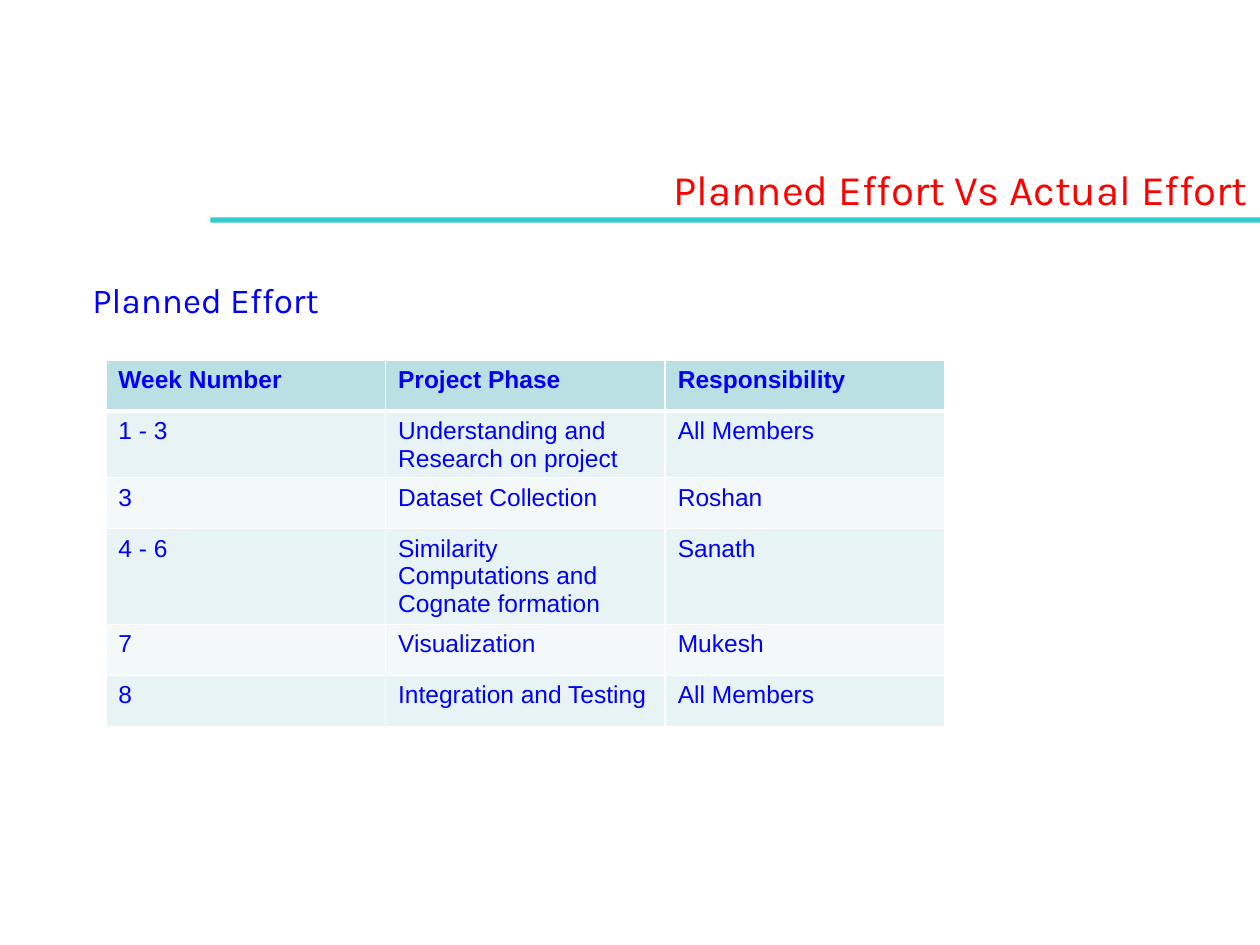
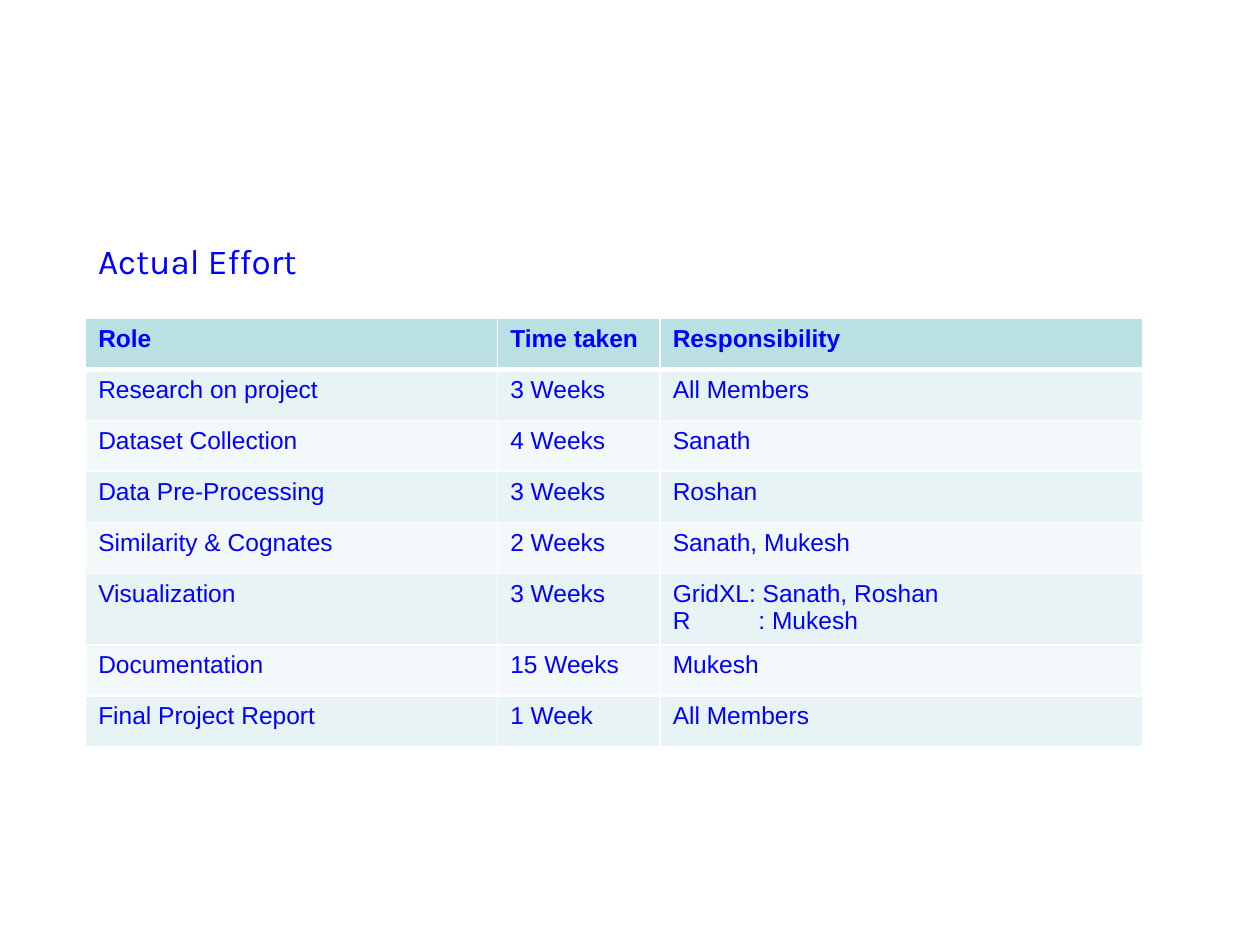
from dataclasses import dataclass

from lxml.etree import SubElement
from pptx import Presentation
from pptx.dml.color import RGBColor as Rgb
from pptx.enum.shapes import MSO_SHAPE as Preset
from pptx.enum.text import PP_ALIGN as Align
from pptx.oxml import parse_xml
from pptx.oxml.ns import nsdecls, qn
from pptx.util import Inches, Pt


@dataclass(frozen=True)
class Theme:
    width: int = Inches(10)
    height: int = Inches(7.5)
    title_font: str = "Karla"
    table_font: str = "Arial"
    title_size: int = 24
    heading_size: int = 20
    table_size: int = 14
    title: str = "FF0000"
    ink: str = "0000FF"
    rule: str = "33CCCC"
    corner: str = "FFFFFF"
    header: str = "BBE0E3"
    bands: tuple = ("E7F3F4", "F3F9FA")
    border: str = "FFFFFF"
    thin: int = 1
    thick: int = 3
    row: float = 0.054
    cell_bottom: int = Inches(0.01)
    label_stop: float = 0.068


THEME = Theme()

PLANNED = [
    ("Week Number", "Project Phase", "Responsibility"),
    ("1 - 3", "Understanding and Research on project", "All Members"),
    ("3", "Dataset Collection", "Roshan"),
    ("4 - 6", "Similarity Computations and Cognate formation", "Sanath"),
    ("7", "Visualization", "Mukesh"),
    ("8", "Integration and Testing", "All Members"),
]

ACTUAL = [
    ("Role", "Time taken", "Responsibility"),
    ("Research on project", "3 Weeks", "All Members"),
    ("Dataset Collection", "4 Weeks", "Sanath"),
    ("Data Pre-Processing", "3 Weeks", "Roshan"),
    ("Similarity & Cognates", "2 Weeks", "Sanath, Mukesh"),
    ("Visualization", "3 Weeks", "GridXL: Sanath, Roshan\nR\t: Mukesh"),
    ("Documentation", "15 Weeks", "Mukesh"),
    ("Final Project Report", "1 Week", "All Members"),
]


def across(share):
    return round(THEME.width * share)


def down(share):
    return round(THEME.height * share)


def area(left, top, width, height):
    return across(left), down(top), across(width), down(height)


def add_run(paragraph, words, font, size, color, bold=False):
    run = paragraph.add_run()
    run.text = words
    run.font.name = font
    run.font.size = Pt(size)
    run.font.bold = bold
    run.font.color.rgb = Rgb.from_string(color)


def add_line_of_text(slide, place, words, size, color, align=Align.LEFT):
    frame = slide.shapes.add_textbox(*area(*place)).text_frame
    frame.word_wrap = True
    paragraph = frame.paragraphs[0]
    paragraph.alignment = align
    add_run(paragraph, words, THEME.title_font, size, color)


def add_block(slide, place, color):
    block = slide.shapes.add_shape(Preset.RECTANGLE, *area(*place))
    block.shadow.inherit = False
    block.fill.solid()
    block.fill.fore_color.rgb = Rgb.from_string(color)
    block.line.fill.background()


def add_effort_slide(deck):
    slide = deck.slides.add_slide(deck.slide_layouts[6])
    add_block(slide, (0, 0.023, 0.158, 0.175), THEME.corner)
    return slide


def add_title(slide, words):
    add_block(slide, (0.167, 0.23, 0.833, 0.0055), THEME.rule)
    add_line_of_text(slide, (0.15, 0.167, 0.85, 0.067), words,
                     THEME.title_size, THEME.title, Align.RIGHT)


def add_heading(slide, left, top, words):
    add_line_of_text(slide, (left, top, 0.2, 0.058), words,
                     THEME.heading_size, THEME.ink)


def set_borders(cell, top, bottom):
    properties = cell._tc.get_or_add_tcPr()
    weights = {"lnL": THEME.thin, "lnR": THEME.thin, "lnT": top, "lnB": bottom}
    for position, (side, weight) in enumerate(weights.items()):
        properties.insert(position, parse_xml(
            f'<a:{side} {nsdecls("a")} w="{Pt(weight)}"><a:solidFill>'
            f'<a:srgbClr val="{THEME.border}"/></a:solidFill></a:{side}>'))


def set_tab_stop(paragraph, position):
    stops = SubElement(paragraph._p.get_or_add_pPr(), qn("a:tabLst"))
    SubElement(stops, qn("a:tab"), pos=str(position), algn="l")


def fill_cell(cell, words, row):
    is_header = row == 0
    color = THEME.header if is_header else THEME.bands[(row - 1) % 2]
    cell.margin_bottom = THEME.cell_bottom
    cell.fill.solid()
    cell.fill.fore_color.rgb = Rgb.from_string(color)
    set_borders(cell,
                THEME.thick if row == 1 else THEME.thin,
                THEME.thick if is_header else THEME.thin)
    frame = cell.text_frame
    for index, line in enumerate(words.split("\n")):
        paragraph = frame.add_paragraph() if index else frame.paragraphs[0]
        if "\t" in line:
            set_tab_stop(paragraph, across(THEME.label_stop))
        add_run(paragraph, line, THEME.table_font, THEME.table_size,
                THEME.ink, is_header)


def add_effort_table(slide, left, top, columns, entries, tall_rows=None):
    heights = [(tall_rows or {}).get(row, THEME.row) for row in range(len(entries))]
    place = area(left, top, sum(columns), sum(heights))
    table = slide.shapes.add_table(len(entries), len(columns), *place).table
    for column, share in zip(table.columns, columns):
        column.width = across(share)
    for row, (entry, share) in enumerate(zip(entries, heights)):
        table.rows[row].height = down(share)
        for column, words in enumerate(entry):
            fill_cell(table.cell(row, column), words, row)


def main():
    deck = Presentation()
    deck.slide_width, deck.slide_height = THEME.width, THEME.height

    planned = add_effort_slide(deck)
    add_title(planned, "Planned Effort Vs Actual Effort")
    add_heading(planned, 0.0635, 0.288, "Planned Effort")
    add_effort_table(planned, 0.084, 0.381, [0.222] * 3, PLANNED)

    actual = add_effort_slide(deck)
    add_heading(actual, 0.068, 0.247, "Actual Effort")
    add_effort_table(actual, 0.068, 0.337, [0.327, 0.129, 0.383], ACTUAL, {5: 0.076})

    deck.save("out.pptx")


if __name__ == "__main__":
    main()
